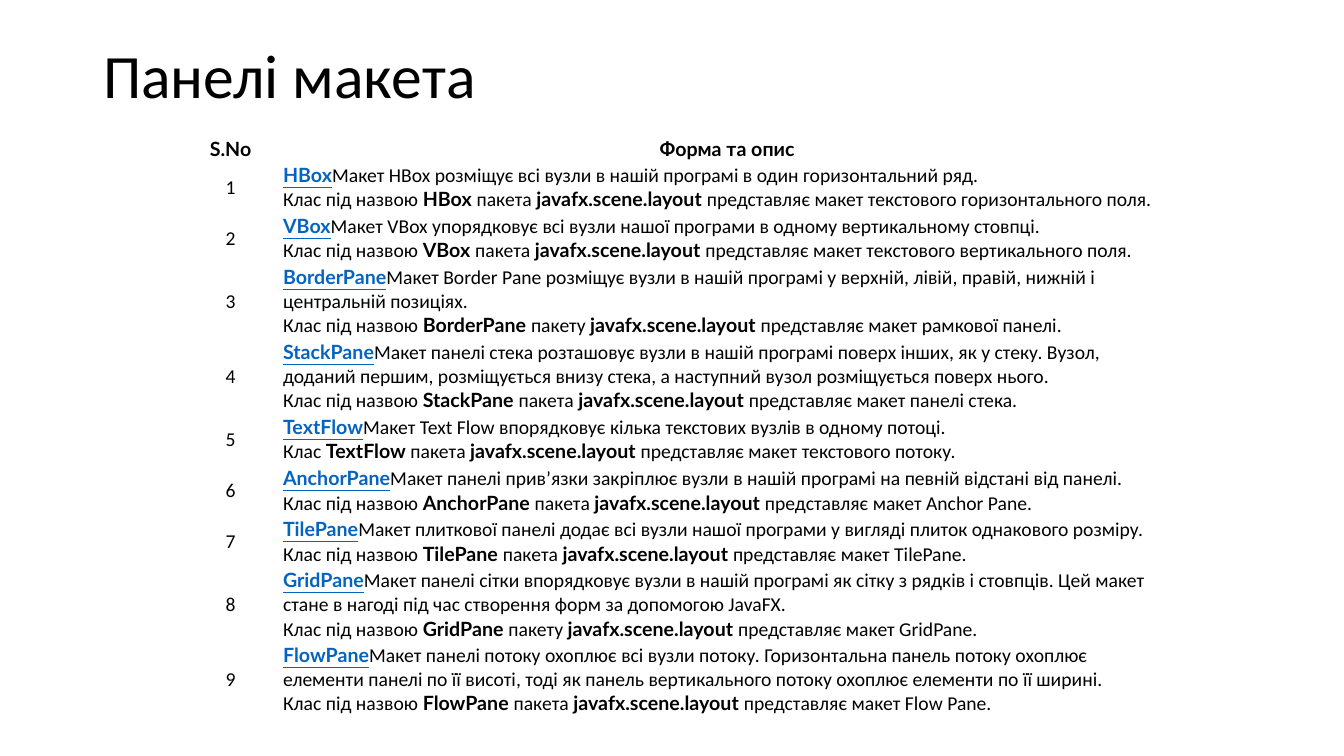
import pptx
import pptx.util
import pptx.dml.color
import pptx.enum.text

ALIGN = pptx.enum.text.PP_ALIGN
ANCHOR = pptx.enum.text.MSO_ANCHOR
COLORS = {"text": "000000", "link": "0563C1", "back": "FFFFFF"}
PACK = "javafx.scene.layout"
HEAD = ("S.No", "Форма та опис")

# Class name, summary, lead-in, word before the package, ending, lines of text
PANES = [
    ("HBox", "Макет HBox розміщує всі вузли в нашій програмі в один горизонтальний ряд.",
     "Клас під назвою", "пакета", "представляє макет текстового горизонтального поля.", 2),
    ("VBox", "Макет VBox упорядковує всі вузли нашої програми в одному вертикальному стовпці.",
     "Клас під назвою", "пакета", "представляє макет текстового вертикального поля.", 2),
    ("BorderPane", "Макет Border Pane розміщує вузли в нашій програмі у верхній, лівій, "
     "правій, нижній і центральній позиціях.",
     "Клас під назвою", "пакету", "представляє макет рамкової панелі.", 3),
    ("StackPane", "Макет панелі стека розташовує вузли в нашій програмі поверх інших, як у "
     "стеку. Вузол, доданий першим, розміщується внизу стека, а наступний вузол "
     "розміщується поверх нього.",
     "Клас під назвою", "пакета", "представляє макет панелі стека.", 3),
    ("TextFlow", "Макет Text Flow впорядковує кілька текстових вузлів в одному потоці.",
     "Клас", "пакета", "представляє макет текстового потоку.", 2),
    ("AnchorPane", "Макет панелі прив’язки закріплює вузли в нашій програмі на певній "
     "відстані від панелі.",
     "Клас під назвою", "пакета", "представляє макет Anchor Pane.", 2),
    ("TilePane", "Макет плиткової панелі додає всі вузли нашої програми у вигляді плиток "
     "однакового розміру.",
     "Клас під назвою", "пакета", "представляє макет TilePane.", 2),
    ("GridPane", "Макет панелі сітки впорядковує вузли в нашій програмі як сітку з рядків і "
     "стовпців. Цей макет стане в нагоді під час створення форм за допомогою JavaFX.",
     "Клас під назвою", "пакету", "представляє макет GridPane.", 3),
    ("FlowPane", "Макет панелі потоку охоплює всі вузли потоку. Горизонтальна панель потоку "
     "охоплює елементи панелі по її висоті, тоді як панель вертикального потоку охоплює "
     "елементи по її ширині.",
     "Клас під назвою", "пакета", "представляє макет Flow Pane.", 3),
]


def px(n):
    return pptx.util.Emu(round(n * 914400 / 100.8))


def color(key):
    return pptx.dml.color.RGBColor.from_string(COLORS[key])


class Page:
    plain, strong, size = "Calibri", "Lato", 14

    def __init__(self, deck):
        self.slide = deck.slides.add_slide(deck.slide_layouts[5])

    def style(self, font, bold=False, key="text", size=size):
        font.name = self.strong if bold else self.plain
        font.size = pptx.util.Pt(size)
        font.bold = bold
        font.color.rgb = color(key)

    def title(self, text, x, y, w, h):
        box = self.slide.shapes.title
        box.left, box.top, box.width, box.height = map(px, (x, y, w, h))
        frame = box.text_frame
        frame.text = text
        frame.vertical_anchor = ANCHOR.TOP
        para = frame.paragraphs[0]
        para.alignment = ALIGN.LEFT
        para.line_spacing = 0.9
        self.style(para.font, size=44)

    def table(self, x, y, cols, rows):
        grid = self.slide.shapes.add_table(
            len(rows), len(cols), px(x), px(y), px(sum(cols)), px(sum(rows))).table
        grid.first_row = grid.horz_banding = False
        for col, w in zip(grid.columns, cols):
            col.width = px(w)
        for row, h in zip(grid.rows, rows):
            row.height = px(h)
        for cell in grid.iter_cells():
            cell.fill.solid()
            cell.fill.fore_color.rgb = color("back")
            cell.vertical_anchor = ANCHOR.MIDDLE
            cell.margin_left = cell.margin_right = px(1)
            cell.margin_top = cell.margin_bottom = px(1)
        return grid

    def label(self, cell, text, bold=False):
        cell.text = text
        para = cell.text_frame.paragraphs[0]
        para.alignment = ALIGN.CENTER
        self.style(para.font, bold)

    def run(self, para, text, bold=False, link=False):
        run = para.add_run()
        run.text = text
        self.style(run.font, bold, "link" if link else "text")
        if link:
            run.font.underline = True

    def entry(self, cell, name, about, lead, word, end):
        frame = cell.text_frame
        first = frame.paragraphs[0]
        self.run(first, name, bold=True, link=True)
        self.run(first, about)
        second = frame.add_paragraph()
        parts = (lead + " ", name + " ", word + " ", PACK + " ", end)
        for i, part in enumerate(parts):
            self.run(second, part, bold=i % 2 == 1)


def main():
    deck = pptx.Presentation()
    deck.slide_width = pptx.util.Inches(13.33)
    deck.slide_height = pptx.util.Inches(7.5)
    page = Page(deck)

    # Title
    page.title("Панелі макета", 93, 40, 1159, 146)

    # Table of panes: each line of text takes 24 px
    rows = [26] + [3 + 24 * pane[-1] for pane in PANES]
    grid = page.table(179, 136, (103, 890), rows)
    for i, text in enumerate(HEAD):
        page.label(grid.cell(0, i), text, bold=True)
    for i, (*texts, _) in enumerate(PANES, 1):
        page.label(grid.cell(i, 0), str(i))
        page.entry(grid.cell(i, 1), *texts)

    deck.save("out.pptx")


if __name__ == "__main__":
    main()
